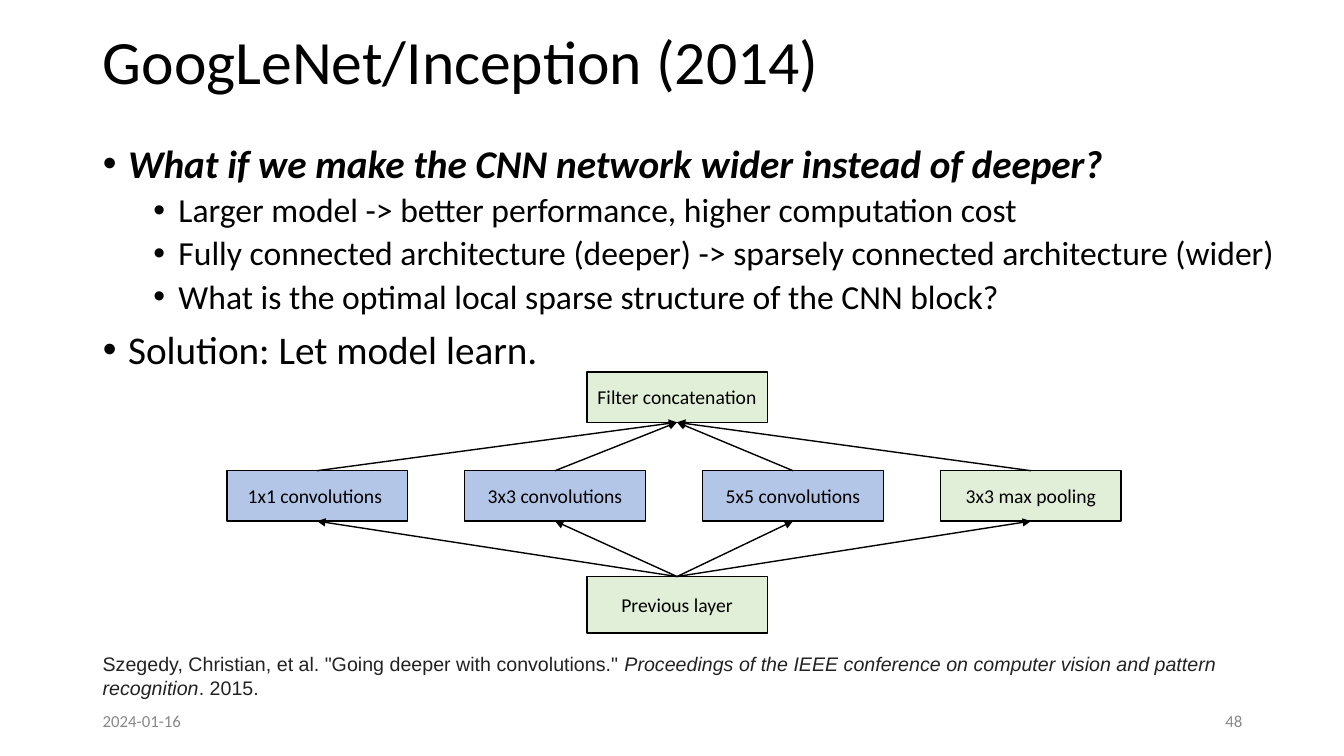
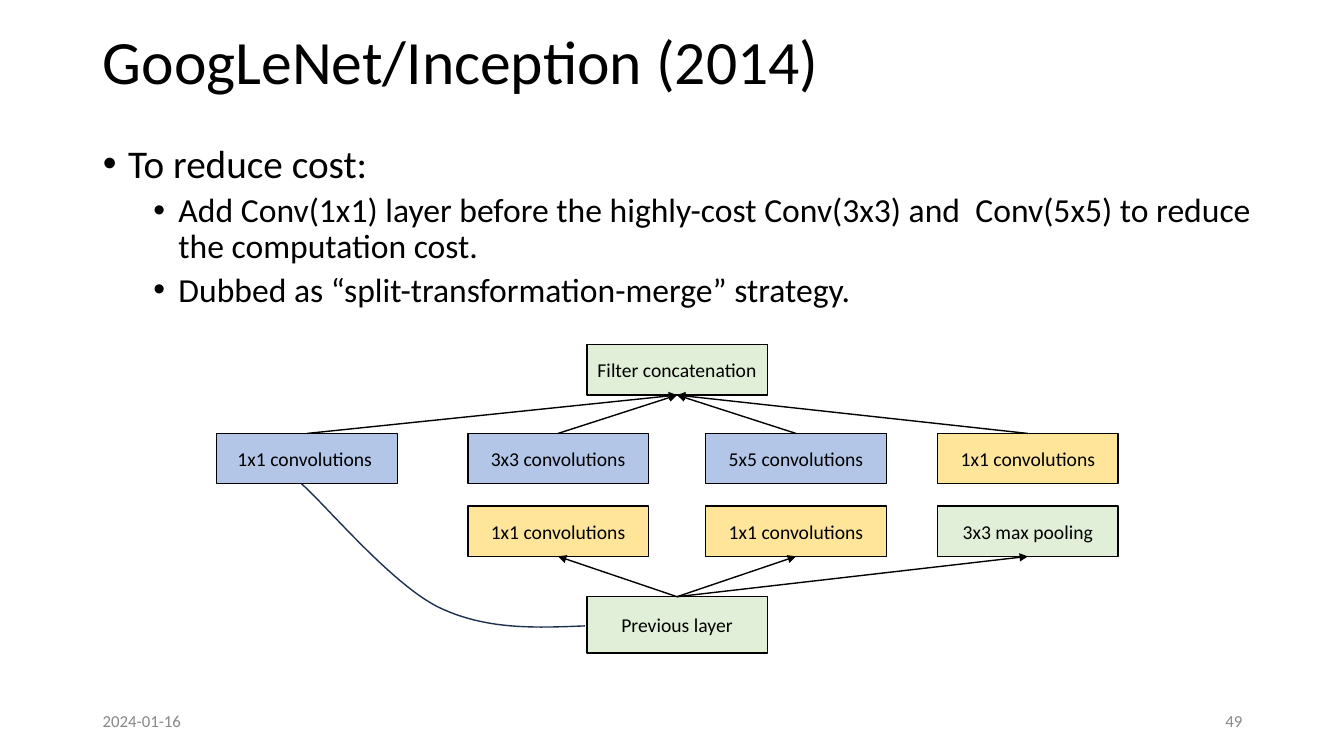
"""Builds two slides that explain the Inception block."""
import pptx
import pptx.util
import pptx.dml.color
import pptx.enum.shapes
import pptx.enum.text
import pptx.oxml
import pptx.oxml.ns

Inches = pptx.util.Inches
Pt = pptx.util.Pt
ALIGN = pptx.enum.text.PP_ALIGN
ANCHOR = pptx.enum.text.MSO_ANCHOR

COLORS = {"text": "000000", "footer": "888888", "citation": "222222", "curve": "1C3052",
          "green": "E1EFD8", "blue": "B3C6E7", "yellow": "FEE599"}
FONT = "Calibri"
WIDTH, HEIGHT = 13.33, 7.5
MARGIN = 0.92
CONTENT_WIDTH = 11.5
FOOTER_WIDTH = 3
BOX_WIDTH, BOX_HEIGHT, BASE_HEIGHT = 1.79, 0.5, 0.56
CENTER_LEFT = 5.82
LEVELS = [{"indent": 0.25, "size": 28, "before": 10}, {"indent": 0.75, "size": 24, "before": 5}]
TITLE = "GoogLeNet/Inception (2014)"
DATE = "2024-01-16"

SLIDES = [
    {
        "number": "48",
        "body_width": 11.89,
        "body": [
            (0, "What if we make the CNN network wider instead of deeper?", True),
            (1, "Larger model -> better performance, higher computation cost", False),
            (1, "Fully connected architecture (deeper) -> sparsely connected architecture (wider)", False),
            (1, "What is the optimal local sparse structure of the CNN block?", False),
            (0, "Solution: Let model learn.", False),
        ],
        "columns": [2.25 + 2.36 * column for column in range(4)],
        "concat_top": 3.69,
        "base_top": 5.72,
        "rows": [
            (4.67, [("1x1 convolutions ", "blue"), ("3x3 convolutions", "blue"),
                    ("5x5 convolutions", "blue"), ("3x3 max pooling", "green")]),
        ],
        "citation": [
            ('Szegedy, Christian, et al. "Going deeper with convolutions."\u00a0', False),
            ("Proceedings of the IEEE conference on computer vision and pattern recognition", True),
            (". 2015.", False),
        ],
    },
    {
        "number": "49",
        "body_width": 11.59,
        "body": [
            (0, "To reduce cost:", False),
            (1, "Add Conv(1x1) layer before the highly-cost Conv(3x3) and  Conv(5x5) to reduce "
                "the computation cost.", False),
            (1, "Dubbed as “split-transformation-merge” strategy.", False),
        ],
        "columns": [2.15, 4.64, 7.0, 9.3],
        "concat_top": 3.42,
        "base_top": 5.92,
        "rows": [
            (4.3, [("1x1 convolutions ", "blue"), ("3x3 convolutions", "blue"),
                   ("5x5 convolutions", "blue"), ("1x1 convolutions", "yellow")]),
            (5.02, [None, ("1x1 convolutions", "yellow"), ("1x1 convolutions", "yellow"),
                    ("3x3 max pooling", "green")]),
        ],
        "curve": [
            [(5.8, 6.21), (5.3, 6.23), (4.81, 6.25), (4.34, 6.02)],
            [(4.34, 6.02), (3.87, 5.78), (3.23, 5.01), (2.99, 4.8)],
        ],
    },
]


def rgb(name):
    return pptx.dml.color.RGBColor.from_string(COLORS[name])


def add_element(parent, tag, **attributes):
    element = pptx.oxml.parse_xml(f"<a:{tag} {pptx.oxml.ns.nsdecls('a')}/>")
    for name, value in attributes.items():
        element.set(name, str(value))
    parent.append(element)
    return element


def add_run(paragraph, text, size, color="text", font=FONT, bold=False, italic=False):
    run = paragraph.add_run()
    run.text = text
    run.font.name, run.font.size = font, Pt(size)
    run.font.bold, run.font.italic = bold, italic
    run.font.color.rgb = rgb(color)


def place(shape, left, top, width, height):
    shape.left, shape.top = Inches(left), Inches(top)
    shape.width, shape.height = Inches(width), Inches(height)


def style_line(shape, color="text"):
    shape.line.color.rgb = rgb(color)
    shape.line.width = Pt(1)


def fill_title(slide):
    title = slide.shapes.title
    place(title, MARGIN, 0.15, CONTENT_WIDTH, 0.99)
    frame = title.text_frame
    frame.auto_size = pptx.enum.text.MSO_AUTO_SIZE.NONE
    frame.vertical_anchor = ANCHOR.MIDDLE
    paragraph = frame.paragraphs[0]
    paragraph.alignment, paragraph.line_spacing = ALIGN.LEFT, 0.9
    add_run(paragraph, TITLE, 44)


def fill_body(slide, items, width):
    body = slide.placeholders[1]
    place(body, MARGIN, 1.38, width, 5.38)
    frame = body.text_frame
    frame.auto_size = pptx.enum.text.MSO_AUTO_SIZE.NONE
    for index, (level, text, emphasis) in enumerate(items):
        paragraph = frame.add_paragraph() if index else frame.paragraphs[0]
        style = LEVELS[level]
        paragraph.level = level
        paragraph.alignment, paragraph.line_spacing = ALIGN.JUSTIFY, 0.9
        paragraph.space_before = Pt(style["before"] if index else 0)
        properties = paragraph._p.get_or_add_pPr()
        properties.set("marL", str(Inches(style["indent"])))
        properties.set("indent", str(Inches(-0.25)))
        add_element(add_element(properties, "buClr"), "srgbClr", val=COLORS["text"])
        add_element(properties, "buFont", typeface="Arial")
        add_element(properties, "buChar", char="•")
        add_run(paragraph, text, style["size"], bold=emphasis, italic=emphasis)


def add_text(slide, left, top, width, height, alignment=ALIGN.LEFT, anchor=ANCHOR.MIDDLE):
    shape = slide.shapes.add_textbox(Inches(left), Inches(top), Inches(width), Inches(height))
    frame = shape.text_frame
    frame.word_wrap, frame.vertical_anchor = True, anchor
    frame.paragraphs[0].alignment = alignment
    return frame.paragraphs[0]


def add_footer(slide, number):
    right = MARGIN + CONTENT_WIDTH - FOOTER_WIDTH
    for left, text, alignment in [(MARGIN, DATE, ALIGN.LEFT), (right, number, ALIGN.RIGHT)]:
        paragraph = add_text(slide, left, 6.95, FOOTER_WIDTH, 0.4, alignment)
        add_run(paragraph, text, 12, "footer")


def add_box(slide, left, top, text, color, height=BOX_HEIGHT):
    box = slide.shapes.add_shape(pptx.enum.shapes.MSO_SHAPE.RECTANGLE, Inches(left), Inches(top),
                                 Inches(BOX_WIDTH), Inches(height))
    box.shadow.inherit = False
    box.fill.solid()
    box.fill.fore_color.rgb = rgb(color)
    style_line(box)
    box.text_frame.word_wrap = True
    box.text_frame.vertical_anchor = ANCHOR.MIDDLE
    paragraph = box.text_frame.paragraphs[0]
    paragraph.alignment = ALIGN.CENTER
    add_run(paragraph, text, 14)
    return box


def add_arrow(slide, lower, upper):
    arrow = slide.shapes.add_connector(pptx.enum.shapes.MSO_CONNECTOR.STRAIGHT, 0, 0, 0, 0)
    arrow.begin_connect(lower, 0)
    arrow.end_connect(upper, 2)
    style_line(arrow)
    add_element(arrow.line._get_or_add_ln(), "tailEnd", type="triangle")
    add_element(arrow._element.spPr, "effectLst")


def curve_points(segments, steps=24):
    points = [segments[0][0]]
    for start, first, second, end in segments:
        for step in range(1, steps + 1):
            t = step / steps
            weights = ((1 - t) ** 3, 3 * t * (1 - t) ** 2, 3 * t ** 2 * (1 - t), t ** 3)
            points.append(tuple(sum(weight * value for weight, value in zip(weights, axis))
                                for axis in zip(start, first, second, end)))
    return points


def add_curve(slide, segments):
    points = [(Inches(x), Inches(y)) for x, y in curve_points(segments)]
    builder = slide.shapes.build_freeform(*points[0])
    builder.add_line_segments(points[1:], close=False)
    curve = builder.convert_to_shape()
    curve.shadow.inherit = False
    curve.fill.background()
    style_line(curve, "curve")


def add_diagram(slide, content):
    base = add_box(slide, CENTER_LEFT, content["base_top"], "Previous layer", "green", BASE_HEIGHT)
    concat = add_box(slide, CENTER_LEFT, content["concat_top"], "Filter concatenation", "green")
    rows = [[add_box(slide, left, top, *cell) if cell else None
             for left, cell in zip(content["columns"], cells)]
            for top, cells in content["rows"]]
    for box in filter(None, rows[-1]):
        add_arrow(slide, base, box)
    for box in rows[0]:
        add_arrow(slide, box, concat)
    if "curve" in content:
        add_curve(slide, content["curve"])


def add_citation(slide, parts):
    paragraph = add_text(slide, MARGIN, 6.42, CONTENT_WIDTH, 0.57, anchor=ANCHOR.TOP)
    for text, italic in parts:
        add_run(paragraph, text, 14, "citation", "Arial", italic=italic)


def main():
    presentation = pptx.Presentation()
    presentation.slide_width, presentation.slide_height = Inches(WIDTH), Inches(HEIGHT)
    for content in SLIDES:
        slide = presentation.slides.add_slide(presentation.slide_layouts[1])
        fill_title(slide)
        fill_body(slide, content["body"], content["body_width"])
        add_footer(slide, content["number"])
        add_diagram(slide, content)
        if "citation" in content:
            add_citation(slide, content["citation"])
    presentation.save("out.pptx")


if __name__ == "__main__":
    main()
